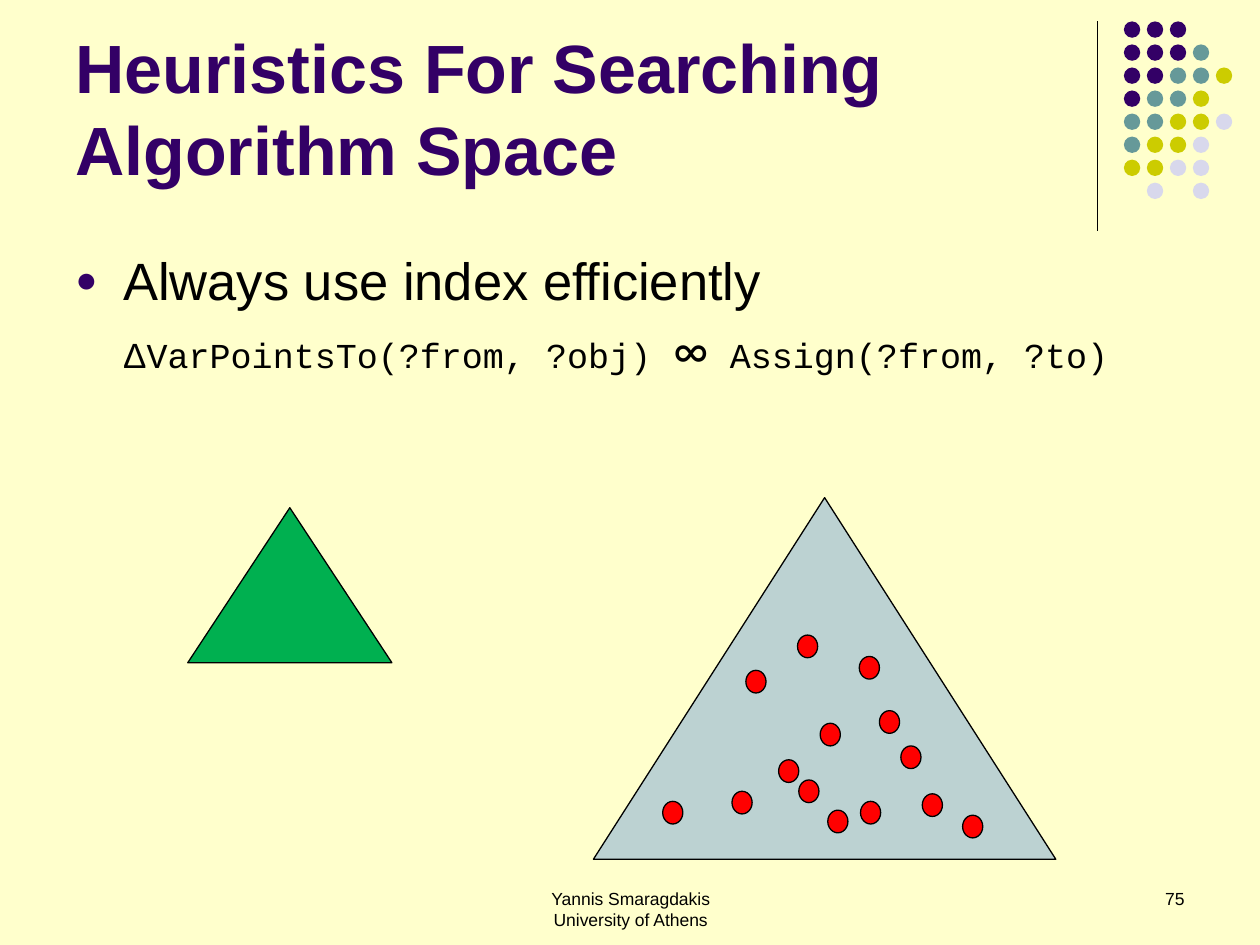
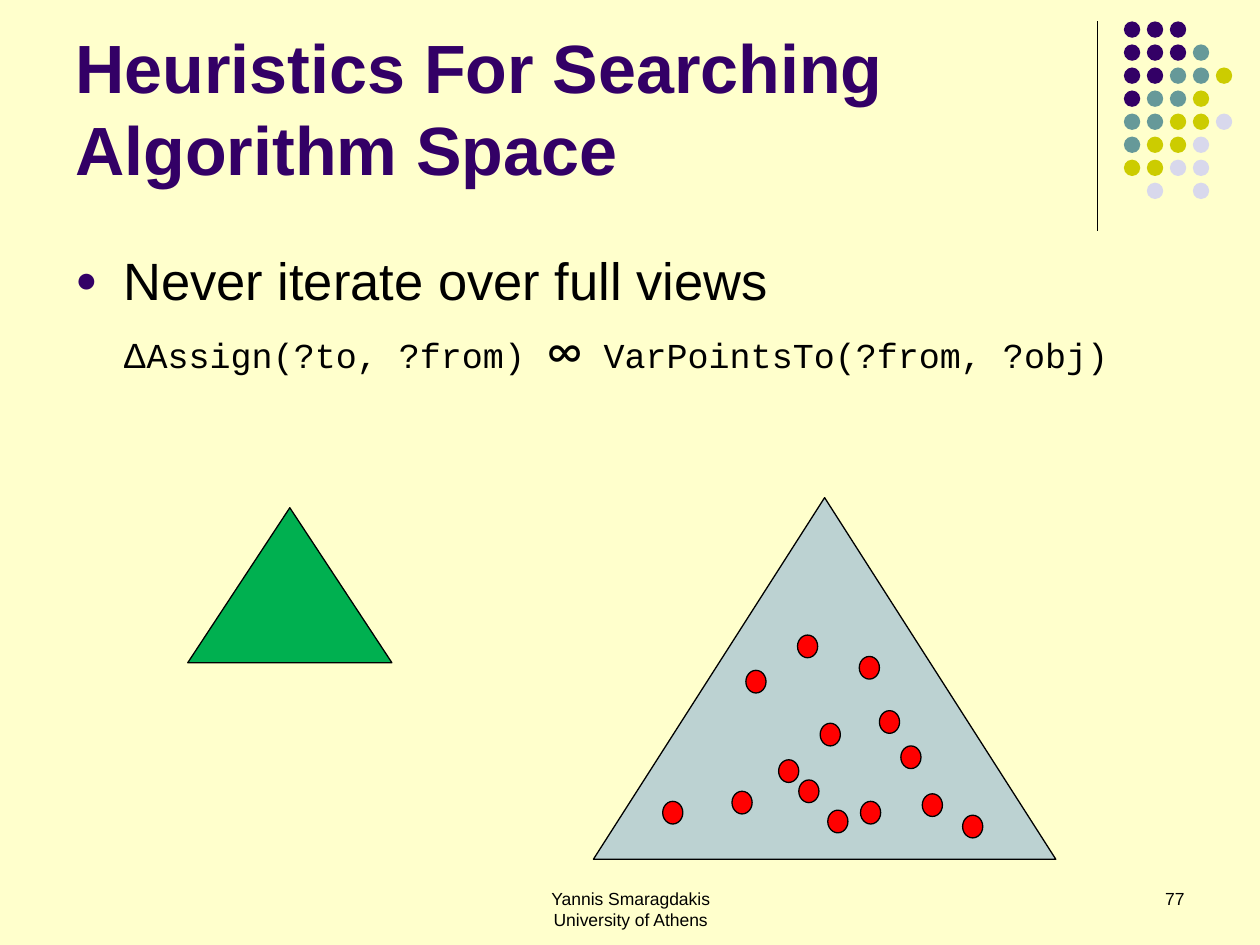
from dataclasses import dataclass
from lxml.etree import SubElement
from pptx import Presentation
from pptx.dml.color import RGBColor
from pptx.enum.shapes import MSO_CONNECTOR, MSO_SHAPE
from pptx.enum.text import MSO_ANCHOR, PP_ALIGN
from pptx.oxml.ns import qn
from pptx.util import Inches, Pt

INK, PURPLE, CREAM = "000000", "330066", "FFFFCC"
DOT_COLORS = {"P": PURPLE, "T": "669999", "Y": "CCCC00", "L": "D8D8EC"}
DOT_ROWS = ["PPP", "PPPT", "PPTTY", "PTTY", "TTYYL", "TYYL", "YYLL", " L L"]
DOT_SIZE, DOT_STEP_X, DOT_STEP_Y = 0.13, 0.73 / 4, 1.28 / 7
TITLE = "Heuristics For Searching Algorithm Space"
FOOTER = ["Yannis Smaragdakis", "University of Athens"]
SANS = {"name": "Arial", "size": Pt(20)}
CODE = {"name": "Courier New", "size": Pt(20)}
JOIN = {"name": "Lato", "size": Pt(28)}
HEADING = {"name": "Arial", "size": Pt(39), "bold": True}
BULLET = {"name": "Arial", "size": Pt(30)}
SMALL = {"name": "Arial", "size": Pt(10)}
TUPLES = [
    (6.18, 6.03), (6.34, 6.19), (6.51, 5.74), (6.83, 6.36), (6.57, 6.43),
    (5.26, 6.36), (5.81, 6.28), (6.33, 5.04), (6.82, 5.21), (6.98, 5.64),
    (7.15, 5.92), (7.32, 6.3), (7.64, 6.47), (5.92, 5.32),
]


@dataclass(frozen=True)
class Box:
    x: float
    y: float
    w: float
    h: float

    def lengths(self) -> list:
        return [Inches(v) for v in (self.x, self.y, self.w, self.h)]


@dataclass(frozen=True)
class JoinSlide:
    rule: str
    delta: str
    relation: str
    number: int


SLIDES = [
    JoinSlide("Always use index efficiently",
              "VarPointsTo(?from, ?obj)", "Assign(?from, ?to)", 75),
    JoinSlide("Never iterate over full views",
              "Assign(?to, ?from)", "VarPointsTo(?from, ?obj)", 77),
]


def rgb(value: str) -> RGBColor:
    return RGBColor.from_string(value)


def add_solid(s, kind, box: Box, fill: str, outlined: bool = True) -> None:
    sp = s.shapes.add_shape(kind, *box.lengths())
    sp.shadow.inherit = False
    sp.fill.solid()
    sp.fill.fore_color.rgb = rgb(fill)
    if outlined:
        sp.line.color.rgb = rgb(INK)
        sp.line.width = Pt(0.75)
    else:
        sp.line.fill.background()


def add_frame(s, box: Box, anchor=MSO_ANCHOR.TOP):
    tf = s.shapes.add_textbox(*box.lengths()).text_frame
    tf.word_wrap = True
    tf.vertical_anchor = anchor
    return tf


def add_run(p, text: str, style: dict, color: str = INK) -> None:
    r = p.add_run()
    r.text = text
    for name, value in style.items():
        setattr(r.font, name, value)
    r.font.color.rgb = rgb(color)


def add_lines(s, box: Box, lines: list[str], align) -> None:
    tf = add_frame(s, box)
    for i, line in enumerate(lines):
        p = tf.add_paragraph() if i else tf.paragraphs[0]
        p.alignment = align
        add_run(p, line, SMALL)


def set_indent(p, first: float):
    pPr = p._p.get_or_add_pPr()
    pPr.set("marL", str(Inches(0.38)))
    pPr.set("indent", str(Inches(first)))
    return pPr


def add_bullet(p) -> None:
    pPr = set_indent(p, -0.38)
    color = SubElement(pPr, qn("a:buClr"))
    SubElement(color, qn("a:srgbClr"), val=PURPLE)
    SubElement(pPr, qn("a:buSzPct"), val="70000")
    SubElement(pPr, qn("a:buFont"), typeface="Arial")
    SubElement(pPr, qn("a:buChar"), char="●")


def add_decoration(s) -> None:
    rule = s.shapes.add_connector(
        MSO_CONNECTOR.STRAIGHT, *[Inches(v) for v in (8.71, 0.17, 8.71, 1.83)])
    rule.line.color.rgb = rgb(INK)
    rule.line.width = Pt(0.75)
    SubElement(rule._element.spPr, qn("a:effectLst"))
    for row, codes in enumerate(DOT_ROWS):
        for col, code in enumerate(codes):
            if code in DOT_COLORS:
                box = Box(8.92 + col * DOT_STEP_X, 0.17 + row * DOT_STEP_Y,
                          DOT_SIZE, DOT_SIZE)
                add_solid(s, MSO_SHAPE.OVAL, box, DOT_COLORS[code], False)


def add_body(s, item: JoinSlide) -> None:
    tf = add_frame(s, Box(0.5, 1.92, 9, 4.78))
    p = tf.paragraphs[0]
    add_bullet(p)
    add_run(p, item.rule, BULLET)
    p = tf.add_paragraph()
    set_indent(p, 0)
    p.space_before = Pt(5)
    for text, style in (("Δ", SANS), (item.delta + " ", CODE),
                        ("∞", JOIN), (" " + item.relation, CODE)):
        add_run(p, text, style)


def add_views(s) -> None:
    add_solid(s, MSO_SHAPE.ISOSCELES_TRIANGLE, Box(1.49, 4.03, 1.62, 1.23), "00B050")
    add_solid(s, MSO_SHAPE.ISOSCELES_TRIANGLE, Box(4.71, 3.95, 3.67, 2.87), "BCD2D2")
    for x, y in TUPLES:
        add_solid(s, MSO_SHAPE.OVAL, Box(x, y, 0.16, 0.18), "FF0000")


def build_slide(prs, item: JoinSlide) -> None:
    s = prs.slides.add_slide(prs.slide_layouts[6])
    s.background.fill.solid()
    s.background.fill.fore_color.rgb = rgb(CREAM)
    add_decoration(s)
    tf = add_frame(s, Box(0.5, 0.13, 8.25, 1.42), MSO_ANCHOR.BOTTOM)
    add_run(tf.paragraphs[0], TITLE, HEADING, PURPLE)
    add_body(s, item)
    add_lines(s, Box(7.17, 7, 2.33, 0.5), [str(item.number)], PP_ALIGN.RIGHT)
    add_views(s)
    add_lines(s, Box(3.42, 7, 3.17, 0.5), FOOTER, PP_ALIGN.CENTER)


def main() -> None:
    prs = Presentation()
    prs.slide_width, prs.slide_height = Inches(10), Inches(7.5)
    for item in SLIDES:
        build_slide(prs, item)
    prs.save("out.pptx")


if __name__ == "__main__":
    main()
